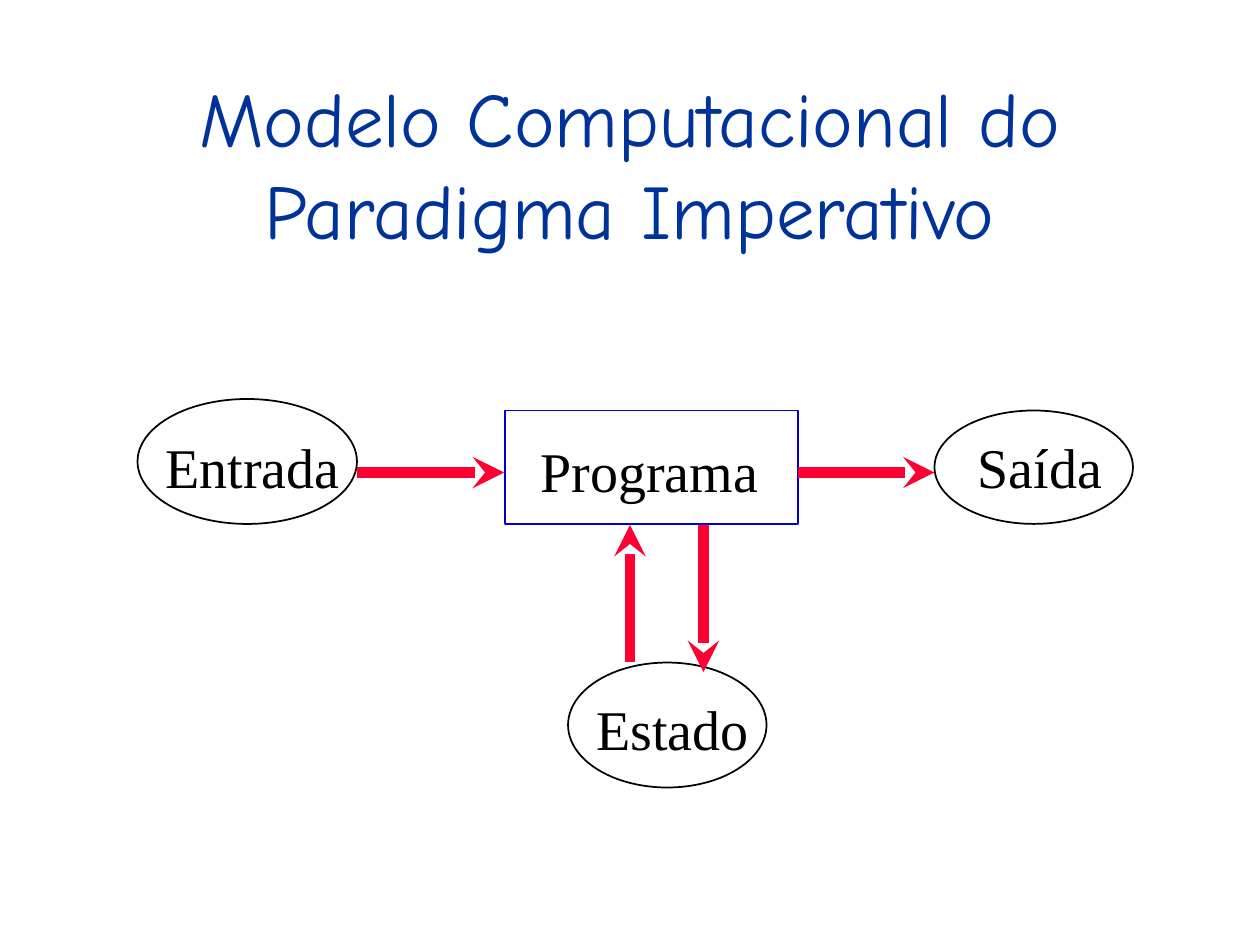
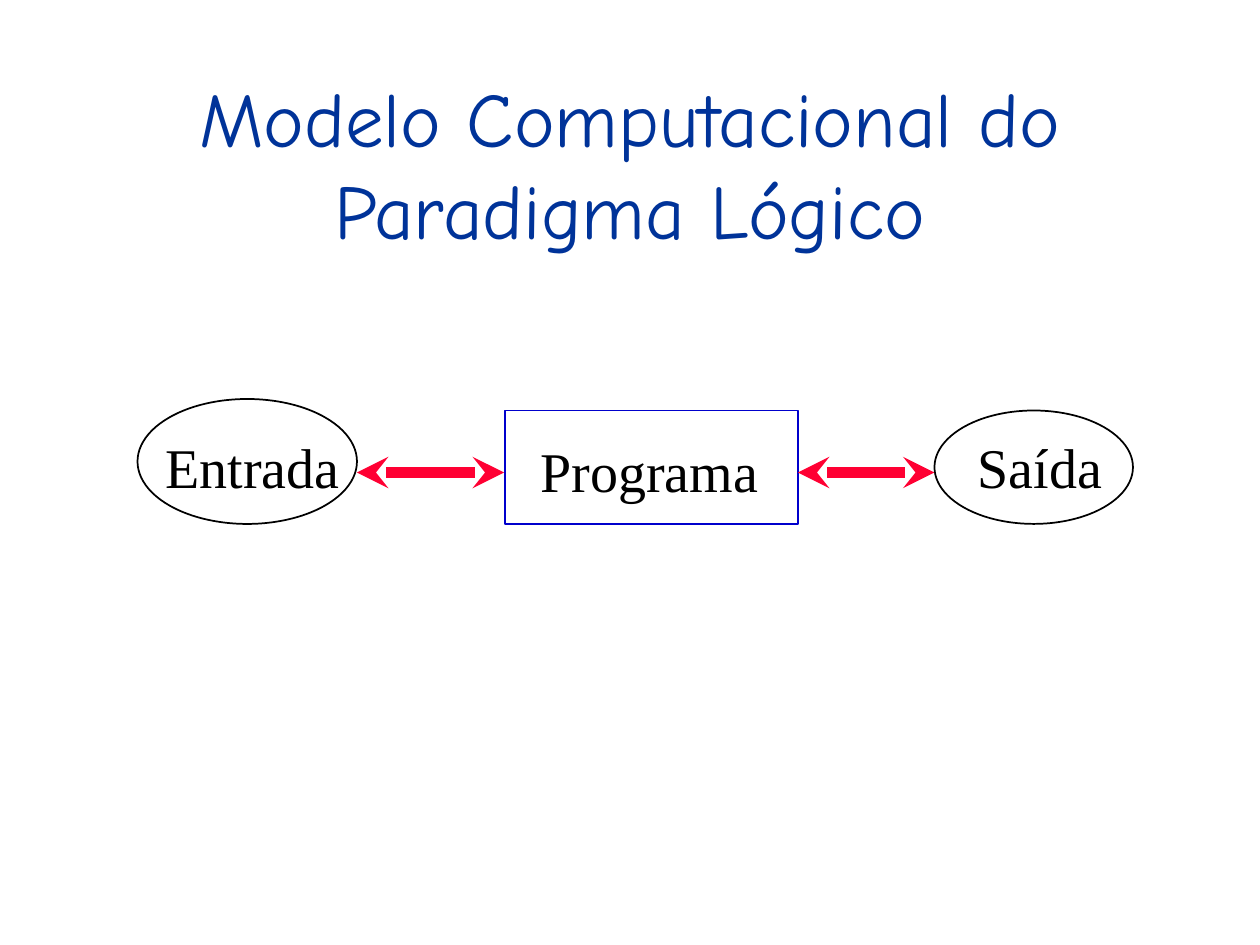
from typing import Any, NamedTuple

from lxml import etree
from pptx import Presentation, util as u
from pptx.dml.color import RGBColor
from pptx.enum import shapes, text
from pptx.oxml import ns

COLUMNS, ROWS = 120, 90
DECK_WIDTH, DECK_HEIGHT = u.Inches(10), u.Inches(7.5)

WHITE = RGBColor(0xFF, 0xFF, 0xFF)
BLACK = RGBColor(0x00, 0x00, 0x00)
TITLE_BLUE = RGBColor(0x00, 0x33, 0x99)
BOX_BLUE = RGBColor(0x00, 0x00, 0xCC)
ARROW_RED = RGBColor(0xFF, 0x00, 0x33)

TITLE_FONT = {"name": "Comic Neue", "size": u.Pt(44)}
LABEL_FONT = {"name": "Times New Roman", "size": u.Pt(32)}
TITLE_FRAME = {"word_wrap": True, "auto_size": text.MSO_AUTO_SIZE.NONE,
               "vertical_anchor": text.MSO_ANCHOR.MIDDLE}

OVAL = shapes.MSO_SHAPE.OVAL
RECTANGLE = shapes.MSO_SHAPE.RECTANGLE
LABEL_ROWS = 7.5


class Area(NamedTuple):
    """Left, top, width and height in grid columns and rows."""
    left: float
    top: float
    width: float
    height: float


class Node(NamedTuple):
    name: str
    outline: Area
    label: Area
    kind: shapes.MSO_SHAPE = OVAL
    color: RGBColor = BLACK
    wrap: bool = False


class Arrow(NamedTuple):
    start: tuple[float, float]
    end: tuple[float, float]
    ends: tuple[str, ...] = ("tailEnd",)


TITLE_AREA = Area(9, 8, 102, 15)
FLOW_NODES = [
    Node("Entrada", Area(13.1, 38, 20.9, 11.9), Area(14.5, 40.6, 19.1, LABEL_ROWS)),
    Node("Programa", Area(48.1, 39.1, 27.9, 10.8), Area(49, 41, 25.7, LABEL_ROWS),
         RECTANGLE, BOX_BLUE, True),
    Node("Saída", Area(89, 39.1, 18.9, 10.8), Area(91.9, 40.6, 14.3, LABEL_ROWS)),
]
STATE_NODE = Node("Estado", Area(54.1, 63.1, 18.9, 11.9),
                  Area(55.6, 65.6, 16.9, LABEL_ROWS))
FLOW_LINES = [((34, 45), (48, 45)), ((76, 45), (89, 45))]
STATE_ARROWS = [Arrow((60, 63), (60, 50)), Arrow((67, 64), (67, 50), ("headEnd",))]


def column(count: float) -> int:
    return round(DECK_WIDTH * count / COLUMNS)


def row(count: float) -> int:
    return round(DECK_HEIGHT * count / ROWS)


def place(area: Area) -> tuple[int, int, int, int]:
    return column(area.left), row(area.top), column(area.width), row(area.height)


def apply(target: Any, values: dict[str, Any]) -> None:
    for name, value in values.items():
        setattr(target, name, value)


def write(frame: Any, words: str, font: dict[str, Any], color: RGBColor) -> None:
    para = frame.paragraphs[0]
    para.alignment = text.PP_ALIGN.CENTER
    span = para.add_run()
    span.text = words
    apply(span.font, font)
    span.font.color.rgb = color


def style_line(line: Any, color: RGBColor, points: float) -> None:
    line.color.rgb = color
    line.width = u.Pt(points)


def add_page(deck: Any, title: str) -> Any:
    """Add a title-only page on white with the shared title style."""
    page = deck.slides.add_slide(deck.slide_layouts[5])
    page.background.fill.solid()
    page.background.fill.fore_color.rgb = WHITE
    box = page.shapes.title
    apply(box, dict(zip(("left", "top", "width", "height"), place(TITLE_AREA))))
    apply(box.text_frame, TITLE_FRAME)
    write(box.text_frame, title, TITLE_FONT, TITLE_BLUE)
    return page


def add_node(page: Any, node: Node) -> None:
    label = page.shapes.add_textbox(*place(node.label))
    apply(label.text_frame, {"word_wrap": node.wrap,
                             "auto_size": text.MSO_AUTO_SIZE.SHAPE_TO_FIT_TEXT})
    write(label.text_frame, node.name, LABEL_FONT, BLACK)
    outline = page.shapes.add_shape(node.kind, *place(node.outline))
    outline.shadow.inherit = False
    outline.fill.background()
    style_line(outline.line, node.color, 1)


def add_arrow(page: Any, arrow: Arrow) -> None:
    (x1, y1), (x2, y2) = arrow.start, arrow.end
    connector = page.shapes.add_connector(
        shapes.MSO_CONNECTOR.STRAIGHT, column(x1), row(y1), column(x2), row(y2))
    style_line(connector.line, ARROW_RED, 6)
    properties = connector.element.spPr
    line = properties.find(ns.qn("a:ln"))
    for end in arrow.ends:
        etree.SubElement(line, ns.qn(f"a:{end}"), type="stealth")
    etree.SubElement(properties, ns.qn("a:effectLst"))


def add_model(deck: Any, title: str, nodes: list[Node], arrows: list[Arrow]) -> None:
    page = add_page(deck, title)
    for node in nodes:
        add_node(page, node)
    for arrow in arrows:
        add_arrow(page, arrow)


def main() -> None:
    deck = Presentation()
    deck.slide_width, deck.slide_height = DECK_WIDTH, DECK_HEIGHT
    one_way = [Arrow(*ends) for ends in FLOW_LINES]
    two_way = [Arrow(*ends, ("headEnd", "tailEnd")) for ends in FLOW_LINES]
    add_model(deck, "Modelo Computacional do Paradigma Imperativo",
              FLOW_NODES + [STATE_NODE], one_way + STATE_ARROWS)
    add_model(deck, "Modelo Computacional do Paradigma Lógico", FLOW_NODES, two_way)
    deck.save("out.pptx")


if __name__ == "__main__":
    main()
